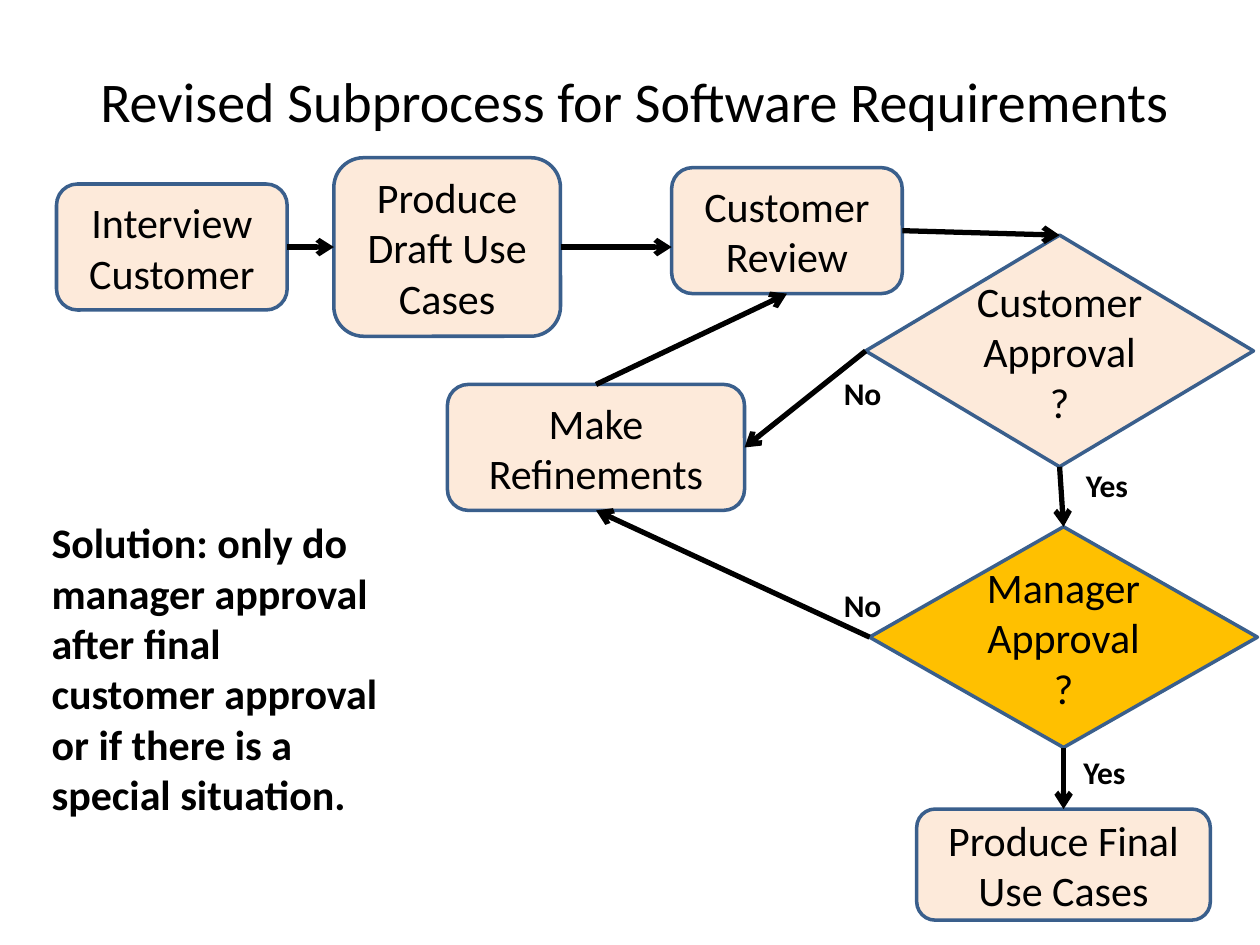
from dataclasses import dataclass

import lxml.etree
import pptx
import pptx.dml.color
import pptx.enum.shapes
import pptx.enum.text
import pptx.oxml.ns
import pptx.util

Cm = pptx.util.Cm
Pt = pptx.util.Pt
RGBColor = pptx.dml.color.RGBColor
MSO_SHAPE = pptx.enum.shapes.MSO_SHAPE
MSO_ANCHOR = pptx.enum.text.MSO_ANCHOR
PP_ALIGN = pptx.enum.text.PP_ALIGN
qn = pptx.oxml.ns.qn


@dataclass(frozen=True)
class Theme:
    font: str = "Calibri"
    ink: RGBColor = RGBColor(0x00, 0x00, 0x00)
    step_fill: RGBColor = RGBColor(0xFD, 0xEA, 0xDA)
    manager_fill: RGBColor = RGBColor(0xFF, 0xC0, 0x00)
    outline: RGBColor = RGBColor(0x3A, 0x5F, 0x8C)
    title_size: Pt = Pt(32)
    body_size: Pt = Pt(24)
    label_size: Pt = Pt(18)
    outline_width: Pt = Pt(2)
    arrow_width: Pt = Pt(3)


theme = Theme()


def write_text(shape, text, size, bold=False, alignment=PP_ALIGN.CENTER,
               anchor=MSO_ANCHOR.MIDDLE, wrap=True):
    frame = shape.text_frame
    frame.text = text
    frame.word_wrap = wrap
    frame.vertical_anchor = anchor
    for paragraph in frame.paragraphs:
        paragraph.alignment = alignment
        paragraph.font.name = theme.font
        paragraph.font.size = size
        paragraph.font.bold = bold
        paragraph.font.color.rgb = theme.ink


presentation = pptx.Presentation()
presentation.slide_width = Cm(25.4)
presentation.slide_height = Cm(19.05)
slide = presentation.slides.add_slide(presentation.slide_layouts[6])

title = slide.shapes.add_textbox(Cm(1.37), Cm(0.43), Cm(22.86), Cm(3.18))
write_text(title, "Revised Subprocess for Software Requirements", theme.title_size)

# Process steps: name, preset, text, fill, left, top, width, height in cm
rounded = MSO_SHAPE.ROUNDED_RECTANGLE
steps = [
    ("interview", rounded, "Interview Customer", theme.step_fill, 1.14, 3.71, 4.65, 2.54),
    ("draft", rounded, "Produce Draft Use Cases", theme.step_fill, 6.73, 3.18, 4.57, 3.6),
    ("manager", MSO_SHAPE.FLOWCHART_DECISION, "Manager Approval?", theme.manager_fill,
     17.53, 10.62, 7.82, 4.45),
    ("final", rounded, "Produce Final Use Cases", theme.step_fill, 18.48, 16.31, 5.92, 2.24),
    ("approval", MSO_SHAPE.DIAMOND, "Customer\vApproval?", theme.step_fill,
     17.45, 4.74, 7.82, 4.67),
    ("review", rounded, "Customer\nReview", theme.step_fill, 13.54, 3.38, 4.65, 2.54),
    ("refinements", rounded, "Make Refinements", theme.step_fill, 9.02, 7.75, 5.99, 2.54),
]
step_shapes = {}
for name, preset, text, fill, *box in steps:
    shape = slide.shapes.add_shape(preset, *map(Cm, box))
    shape.shadow.inherit = False
    shape.fill.solid()
    shape.fill.fore_color.rgb = fill
    shape.line.color.rgb = theme.outline
    shape.line.width = theme.outline_width
    write_text(shape, text, theme.body_size)
    step_shapes[name] = shape

# Arrows run from one side of a step to a side of the next
TOP, LEFT, BOTTOM, RIGHT = range(4)
arrows = [
    ("interview", RIGHT, "draft", LEFT),
    ("manager", BOTTOM, "final", TOP),
    ("approval", BOTTOM, "manager", TOP),
    ("review", RIGHT, "approval", TOP),
    ("draft", RIGHT, "review", None),  # level arrow, ends below the side's middle
    ("manager", LEFT, "refinements", BOTTOM),
    ("refinements", TOP, "review", BOTTOM),
    ("approval", LEFT, "refinements", RIGHT),
]
for source, source_side, target, target_side in arrows:
    start, end = step_shapes[source], step_shapes[target]
    level = start.top + start.height // 2
    connector = slide.shapes.add_connector(
        pptx.enum.shapes.MSO_CONNECTOR.STRAIGHT,
        start.left + start.width, level, end.left, level)
    connector.begin_connect(start, source_side)
    if target_side is not None:
        connector.end_connect(end, target_side)
    connector.line.color.rgb = theme.ink
    connector.line.width = theme.arrow_width
    line = connector.line._get_or_add_ln()
    lxml.etree.SubElement(line, qn("a:tailEnd"), type="arrow")
    lxml.etree.SubElement(connector._element.spPr, qn("a:effectLst"))

solution = slide.shapes.add_textbox(Cm(0.79), Cm(10.29), Cm(7.24), Cm(6.4))
write_text(solution,
           "Solution: only do manager approval after final customer approval "
           "or if there is a special situation.",
           theme.body_size, bold=True, alignment=PP_ALIGN.LEFT, anchor=MSO_ANCHOR.TOP)

branch_labels = [
    ("No", 16.76, 11.68),
    ("No", 16.76, 7.42),
    ("Yes", 21.64, 9.27),
    ("Yes", 21.59, 15.06),
]
for text, left, top in branch_labels:
    label = slide.shapes.add_textbox(Cm(left), Cm(top), Cm(1.37), Cm(1.02))
    write_text(label, text, theme.label_size, bold=True, alignment=PP_ALIGN.LEFT,
               anchor=MSO_ANCHOR.TOP, wrap=False)

presentation.save("out.pptx")
